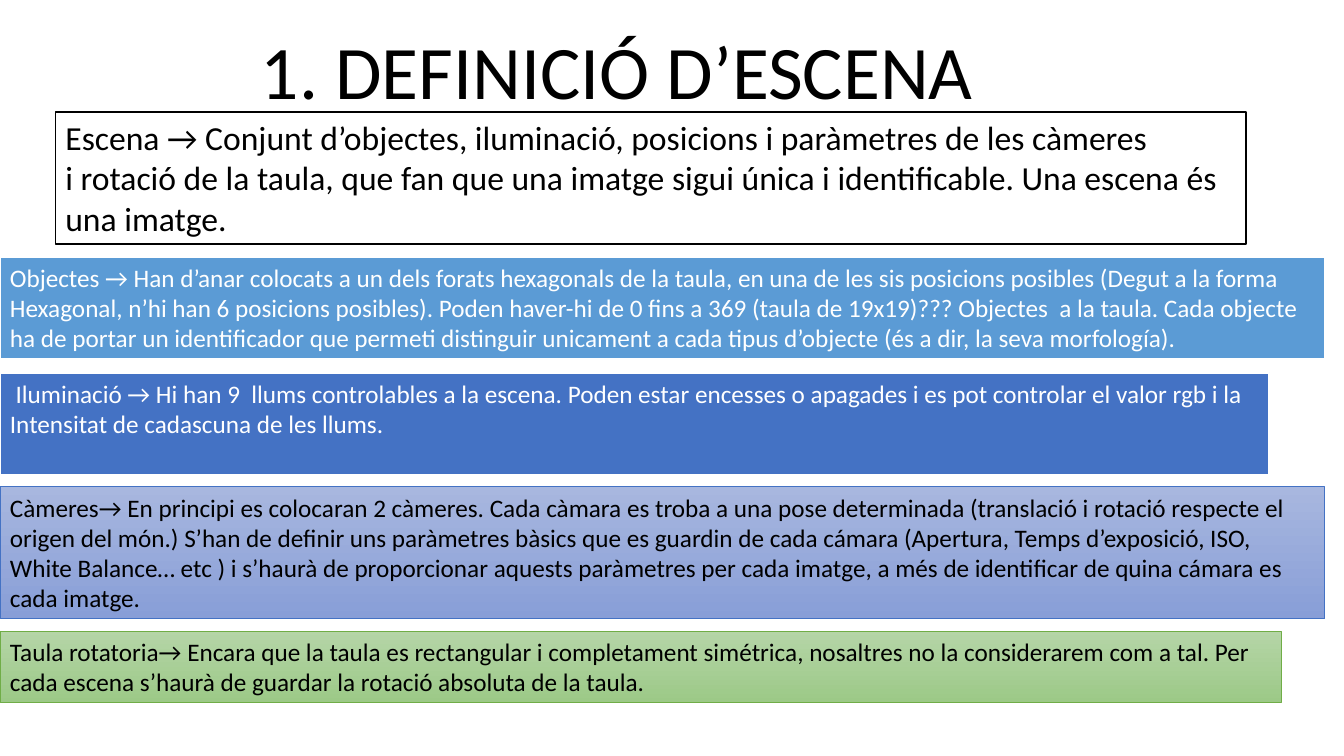
from pptx import Presentation
from pptx.dml.color import RGBColor
from pptx.enum.shapes import MSO_SHAPE
from pptx.enum.text import MSO_ANCHOR, PP_ALIGN
from pptx.util import Inches, Pt

BLACK = RGBColor(0x00, 0x00, 0x00)
WHITE = RGBColor(0xFF, 0xFF, 0xFF)
SKY = RGBColor(0x5B, 0x9B, 0xD5)
BLUE = RGBColor(0x44, 0x72, 0xC4)
GREEN = RGBColor(0x70, 0xAD, 0x47)
LAVENDER = (RGBColor(0xA8, 0xB7, 0xDF), RGBColor(0x88, 0x9E, 0xD7))
MINT = (RGBColor(0xB5, 0xD5, 0xA7), RGBColor(0x9C, 0xC9, 0x87))

TITLE = "1. DEFINICIÓ D’ESCENA"
ESCENA = [
    "Escena → Conjunt d’objectes, iluminació, posicions i paràmetres de les càmeres",
    "i rotació de la taula, que fan que una imatge sigui única i identificable. Una escena és",
    "una imatge.",
]
OBJECTES = [
    "Objectes → Han d’anar colocats a un dels forats hexagonals de la taula, en una de les "
    "sis posicions posibles (Degut a la forma",
    "Hexagonal, n’hi han 6 posicions posibles). Poden haver-hi de 0 fins a 369 "
    "(taula de 19x19)??? Objectes  a la taula. Cada objecte",
    "ha de portar un identificador que permeti distinguir unicament a cada tipus d’objecte "
    "(és a dir, la seva morfología).",
]
ILUMINACIO = [
    " Iluminació → Hi han 9  llums controlables a la escena. Poden estar encesses o apagades "
    "i es pot controlar el valor rgb i la",
    "Intensitat de cadascuna de les llums.",
]
CAMERES = [
    "Càmeres→ En principi es colocaran 2 càmeres. Cada càmara es troba a una pose determinada "
    "(translació i rotació respecte el",
    "origen del món.) S’han de definir uns paràmetres bàsics que es guardin de cada cámara "
    "(Apertura, Temps d’exposició, ISO, White Balance… etc ) i s’haurà de proporcionar aquests "
    "paràmetres per cada imatge, a més de identificar de quina cámara es cada imatge.",
]
TAULA = [
    "Taula rotatoria→ Encara que la taula es rectangular i completament simétrica, nosaltres "
    "no la considerarem com a tal. Per",
    "cada escena s’haurà de guardar la rotació absoluta de la taula.",
]


def write_paragraphs(frame, texts, size, color):
    frame.word_wrap = True
    frame.vertical_anchor = MSO_ANCHOR.TOP
    for index, text in enumerate(texts):
        paragraph = frame.add_paragraph() if index else frame.paragraphs[0]
        paragraph.alignment = PP_ALIGN.LEFT
        run = paragraph.add_run()
        run.text = text
        run.font.name = "Calibri"
        run.font.size = Pt(size)
        run.font.color.rgb = color


def paint(fill, colors):
    """Fill solid with one colour, or top to bottom with a (top, bottom) pair."""
    if isinstance(colors, RGBColor):
        fill.solid()
        fill.fore_color.rgb = colors
        return
    fill.gradient()
    fill.gradient_angle = 270
    for stop, color in zip(fill.gradient_stops, colors):
        stop.color.rgb = color


def add_title(slide, text):
    title = slide.shapes.add_textbox(Inches(2.49), Inches(0.19), Inches(7.34), Inches(1.01))
    write_paragraphs(title.text_frame, [text], 54, BLACK)


def add_panel(slide, box, texts, fill, line, line_width, color, size=18):
    panel = slide.shapes.add_shape(MSO_SHAPE.RECTANGLE, *map(Inches, box))
    panel.shadow.inherit = False
    paint(panel.fill, fill)
    panel.line.color.rgb = line
    panel.line.width = Pt(line_width)
    write_paragraphs(panel.text_frame, texts, size, color)


def main():
    prs = Presentation()
    prs.slide_width, prs.slide_height = Inches(13.33), Inches(7.5)
    slide = prs.slides.add_slide(prs.slide_layouts[6])

    add_title(slide, TITLE)
    add_panel(slide, (0.55, 1.11, 11.81, 1.31), ESCENA, WHITE, BLACK, 1, BLACK, size=24)
    add_panel(slide, (0, 2.55, 13.14, 1.01), OBJECTES, SKY, WHITE, 1.5, WHITE)
    add_panel(slide, (0, 3.7, 12.59, 1.01), ILUMINACIO, BLUE, WHITE, 1.5, WHITE)
    add_panel(slide, (0, 4.83, 13.14, 1.31), CAMERES, LAVENDER, BLUE, 0.5, BLACK)
    add_panel(slide, (0, 6.26, 12.71, 0.71), TAULA, MINT, GREEN, 0.5, BLACK)

    prs.save("out.pptx")


if __name__ == "__main__":
    main()
